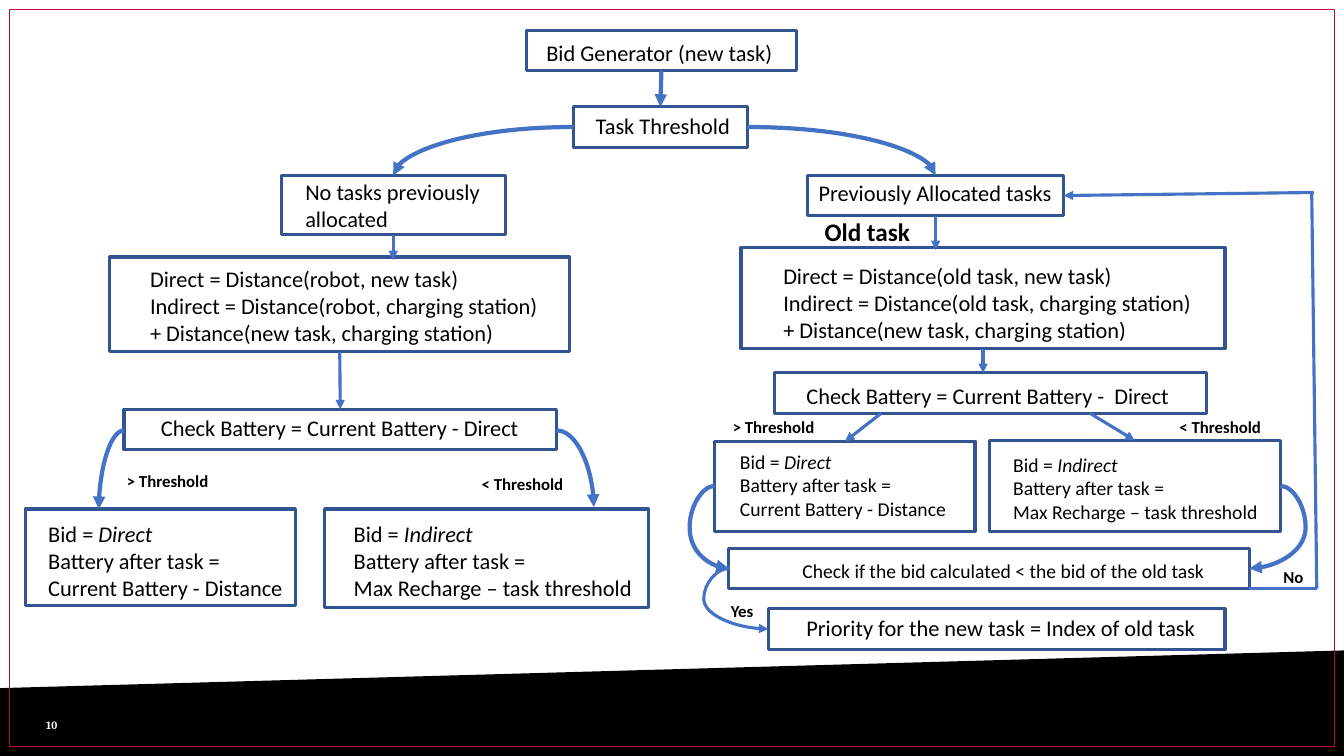
from dataclasses import dataclass
from typing import Optional

from lxml import etree
from pptx import Presentation, util as u
from pptx.dml import color
from pptx.enum import shapes, text
from pptx.oxml import ns

BLACK, WHITE, RED = "000000", "FFFFFF", "BA0C2F"
BOX_BLUE, ARROW_BLUE = "325491", "4472C4"
BOTTOM, TOP, RIGHT = 2, 0, 3
BULGE = 0.25

Frame = tuple[float, float, float, float]
Point = tuple[float, float]


@dataclass
class Label:
    frame: Frame
    lines: list[str]
    size: float = 16
    wrap: bool = True
    bold: bool = False
    font: str = "Calibri"
    ink: str = BLACK
    align: Optional[text.PP_ALIGN] = None
    anchor: text.MSO_ANCHOR = text.MSO_ANCHOR.TOP


@dataclass
class Node:
    frame: Frame
    label: Label


@dataclass
class Arrow:
    start: Point
    end: Point
    width: float = 2.25
    curve: str = ""
    head: bool = True
    source: str = ""
    source_site: int = BOTTOM
    target: str = ""
    target_site: int = TOP


def distances(place: str) -> list[str]:
    return [f"Direct = Distance({place}, new task)",
            f"Indirect = Distance({place}, charging station)",
            "+ Distance(new task, charging station)"]


DIRECT_BID = ["Bid = *Direct*", "Battery after task =", "Current Battery - Distance"]
INDIRECT_BID = ["Bid = *Indirect*", "Battery after task =", "Max Recharge – task threshold"]

NODES = {
    "generator": Node((5.22, 0.3, 2.68, 0.4), Label(
        (5.32, 0.34, 2.48, 0.37), ["Bid Generator (new task)"], wrap=False)),
    "threshold": Node((5.69, 1.06, 1.72, 0.4), Label(
        (5.81, 1.06, 1.55, 0.37), ["Task Threshold"], wrap=False)),
    "unallocated": Node((2.79, 1.74, 2.22, 0.59), Label(
        (2.93, 1.72, 2.3, 0.64), ["No tasks previously", "allocated"])),
    "allocated": Node((8.01, 1.74, 2.54, 0.4), Label(
        (8.02, 1.73, 2.54, 0.37), ["Previously Allocated tasks"], wrap=False)),
    "robot distances": Node((1.09, 2.55, 4.56, 0.94), Label(
        (1.39, 2.58, 4.15, 1.25), distances("robot"), wrap=False)),
    "old distances": Node((7.35, 2.46, 4.8, 1), Label(
        (7.67, 2.55, 4.85, 1.25), distances("old task"))),
    "left battery": Node((1.23, 4.06, 4.29, 0.4), Label(
        (1.09, 4.06, 4.56, 0.37), ["Check Battery = Current Battery - Direct"],
        align=text.PP_ALIGN.CENTER)),
    "left direct": Node((0.25, 5.05, 2.68, 0.96), Label(
        (0.38, 5.11, 3.05, 0.94), DIRECT_BID)),
    "left indirect": Node((3.22, 5.05, 3.21, 0.98), Label(
        (3.41, 5.11, 3.36, 0.94), INDIRECT_BID)),
    "right battery": Node((7.68, 3.7, 4.29, 0.4), Label(
        (7.9, 3.74, 4.44, 0.37), ["Check Battery = Current Battery -  Direct"])),
    "right direct": Node((7.09, 4.38, 2.58, 0.89), Label(
        (7.24, 4.41, 2.85, 0.81), DIRECT_BID, 14)),
    "right indirect": Node((9.81, 4.37, 2.89, 0.9), Label(
        (9.95, 4.44, 3.11, 0.81), INDIRECT_BID, 14)),
    "bid check": Node((7.23, 5.44, 5.16, 0.4), Label(
        (7.86, 5.5, 4.23, 0.34),
        ["Check if the bid calculated < the bid of the old task"], 14, False)),
    "priority": Node((7.62, 6.04, 4.53, 0.4), Label(
        (7.9, 6.04, 4.11, 0.37),
        ["Priority for the new task = Index of old task"], wrap=False)),
}

ARROWS = [
    Arrow((5.69, 1.26), (3.9, 1.74), 3, "quarter"),
    Arrow((7.41, 1.26), (9.28, 1.74), 3, "quarter"),
    Arrow((1.23, 4.27), (0.98, 5.05), 3, "quarter"),
    Arrow((5.52, 4.27), (5.89, 5.03), 3, "quarter"),
    Arrow((7.09, 4.82), (7.23, 5.64), 3, "loop"),
    Arrow((12.7, 4.82), (12.39, 5.64), 3, "loop"),
    Arrow((7.23, 5.64), (7.62, 6.24), curve="loop"),
    Arrow((6.56, 0.71), (6.55, 1.06), 3, source="generator", target="threshold"),
    Arrow((3.9, 2.34), (3.9, 2.58), source="unallocated"),
    Arrow((9.28, 2.14), (9.28, 2.48), source="allocated"),
    Arrow((3.37, 3.5), (3.37, 4.06), source="robot distances", target="left battery"),
    Arrow((9.75, 3.46), (9.75, 3.7), source="old distances"),
    Arrow((8.74, 4.1), (8.38, 4.38), target="right direct"),
    Arrow((10.81, 4.1), (11.26, 4.37), target="right indirect"),
    Arrow((12.39, 5.84), (13.06, 5.84), head=False),
    Arrow((13.01, 1.91), (13.06, 5.84), head=False),
    Arrow((13.03, 1.91), (10.55, 1.94), target="allocated", target_site=RIGHT),
]

LABELS = [
    Label((1.16, 4.62, 1.54, 0.3), ["> Threshold"], 12, bold=True),
    Label((4.68, 4.65, 1.54, 0.3), ["< Threshold"], 12, bold=True),
    Label((7.17, 4.09, 1.54, 0.3), ["> Threshold"], 12, bold=True),
    Label((11.6, 4.09, 1.43, 0.3), ["< Threshold"], 12, bold=True),
    Label((7.15, 5.91, 0.69, 0.3), ["Yes"], 12, bold=True),
    Label((12.63, 5.57, 0.63, 0.3), ["No"], 12, bold=True),
    Label((8.08, 2.1, 1.2, 0.4), ["Old task"], 18, bold=True),
]


def apply(target, values: dict) -> None:
    for name, value in values.items():
        setattr(target, name, value)


def paint(colour_format, value: str) -> None:
    colour_format.rgb = color.RGBColor.from_string(value)


def add_label(slide, label: Label) -> None:
    shape = slide.shapes.add_textbox(*map(u.Inches, label.frame))
    apply(shape.text_frame, {
        "word_wrap": label.wrap, "vertical_anchor": label.anchor,
        "auto_size": text.MSO_AUTO_SIZE.SHAPE_TO_FIT_TEXT})
    for number, line in enumerate(label.lines):
        frame = shape.text_frame
        paragraph = frame.add_paragraph() if number else frame.paragraphs[0]
        paragraph.alignment = label.align
        for part, words in enumerate(line.split("*")):
            if words:
                run = paragraph.add_run()
                run.text = words
                apply(run.font, {"name": label.font, "size": u.Pt(label.size),
                                 "bold": label.bold, "italic": part % 2 == 1})
                paint(run.font.color, label.ink)


def add_outline(slide, frame: Frame, colour: str, width: float):
    shape = slide.shapes.add_shape(shapes.MSO_SHAPE.RECTANGLE, *map(u.Inches, frame))
    shape.shadow.inherit = False
    shape.fill.background()
    paint(shape.line.color, colour)
    shape.line.width = u.Pt(width)
    return shape


def add_arrow(slide, arrow: Arrow, boxes: dict) -> None:
    kind = shapes.MSO_CONNECTOR.CURVE if arrow.curve else shapes.MSO_CONNECTOR.STRAIGHT
    connector = slide.shapes.add_connector(kind, *map(u.Inches, arrow.start + arrow.end))
    if arrow.source:
        connector.begin_connect(boxes[arrow.source], arrow.source_site)
    if arrow.target:
        connector.end_connect(boxes[arrow.target], arrow.target_site)
    paint(connector.line.color, ARROW_BLUE)
    connector.line.width = u.Pt(arrow.width)
    properties = connector._element.spPr
    geometry = properties.find(ns.qn("a:prstGeom"))
    if arrow.curve == "quarter":
        geometry.set("prst", "curvedConnector2")
    elif arrow.curve == "loop":
        adjust = round(-BULGE / abs(arrow.end[0] - arrow.start[0]) * 100000)
        etree.SubElement(geometry.find(ns.qn("a:avLst")), ns.qn("a:gd"),
                         name="adj1", fmla=f"val {adjust}")
    if arrow.head:
        etree.SubElement(properties.find(ns.qn("a:ln")), ns.qn("a:tailEnd"), type="triangle")
    etree.SubElement(properties, ns.qn("a:effectLst"))


def add_backdrop(slide) -> None:
    corners = [(-0.12, 6.83), (13.42, 6.45), (13.42, 7.54), (-0.11, 7.54)]
    points = [(u.Inches(x), u.Inches(y)) for x, y in corners]
    builder = slide.shapes.build_freeform(*points[0])
    builder.add_line_segments(points[1:], close=True)
    band = builder.convert_to_shape()
    band.shadow.inherit = False
    band.fill.solid()
    paint(band.fill.fore_color, BLACK)
    band.line.fill.background()
    add_outline(slide, (0.09, 0.09, 13.15, 7.32), RED, 0.75)
    add_label(slide, Label((0.36, 6.99, 0.62, 0.4), ["10"], 8, bold=True, font="Cambria",
                           ink=WHITE, anchor=text.MSO_ANCHOR.MIDDLE))


def main() -> None:
    presentation = Presentation()
    apply(presentation, {"slide_width": u.Inches(13.33), "slide_height": u.Inches(7.5)})
    slide = presentation.slides.add_slide(presentation.slide_layouts[6])
    add_backdrop(slide)
    for node in NODES.values():
        add_label(slide, node.label)
    boxes = {name: add_outline(slide, node.frame, BOX_BLUE, 2.25)
             for name, node in NODES.items()}
    for arrow in ARROWS:
        add_arrow(slide, arrow, boxes)
    for label in LABELS:
        add_label(slide, label)
    presentation.save("out.pptx")


if __name__ == "__main__":
    main()
